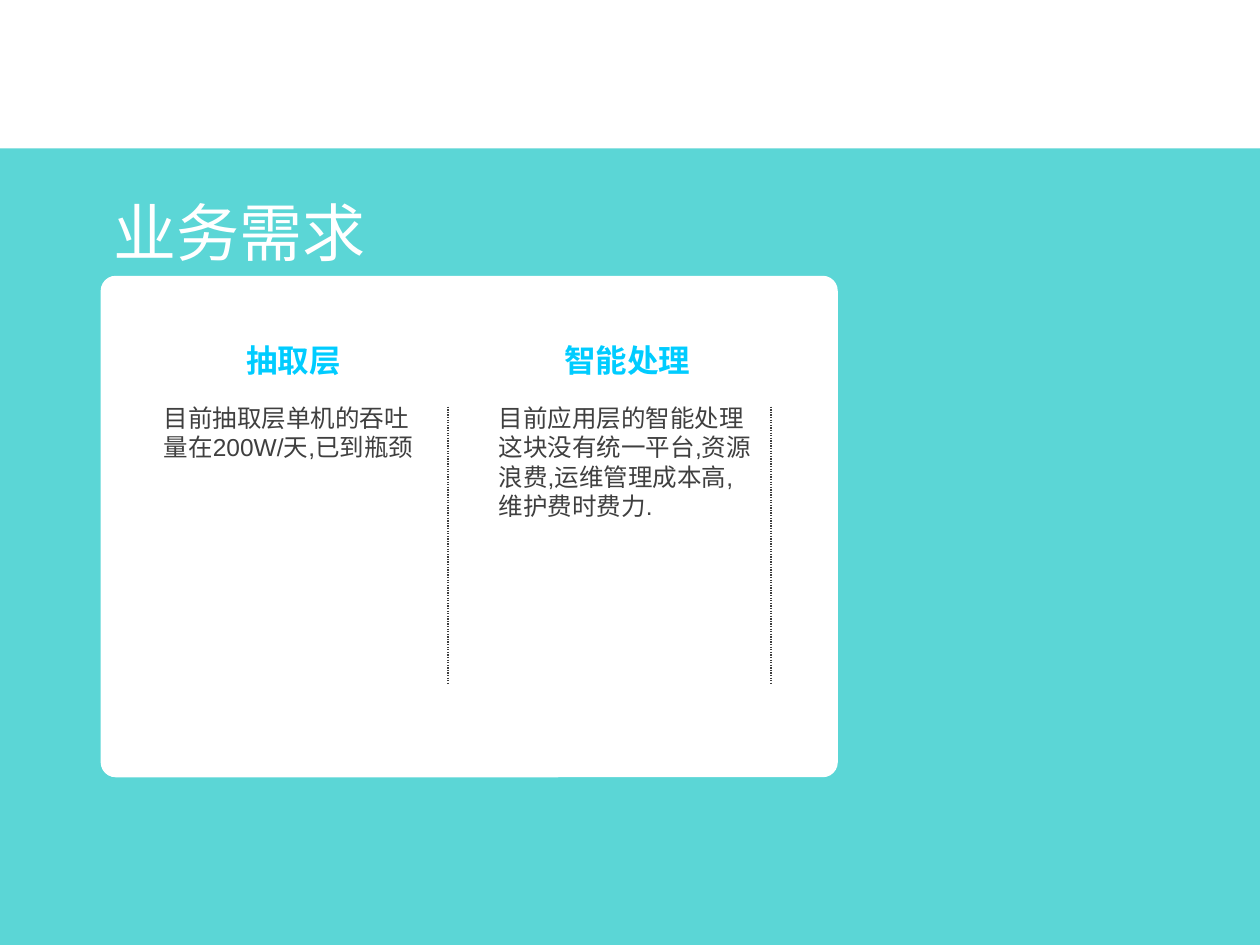
from pptx import Presentation
from pptx.dml.color import RGBColor
from pptx.enum.dml import MSO_LINE
from pptx.enum.shapes import MSO_CONNECTOR, MSO_SHAPE
from pptx.enum.text import MSO_ANCHOR, MSO_AUTO_SIZE, PP_ALIGN
from pptx.oxml.ns import qn
from pptx.util import Cm, Pt
from lxml.etree import SubElement

TEAL = RGBColor(0x33, 0xCC, 0xCC)
WHITE = RGBColor(0xFF, 0xFF, 0xFF)
CYAN = RGBColor(0x00, 0xCC, 0xFF)
GREY = RGBColor(0x3F, 0x3F, 0x3F)

TITLE = "业务需求"
# heading, heading left, heading width, body, body left, body height, divider x (cm)
COLUMNS = [
    ("抽取层", 4.72, 2.41, "目前抽取层单机的吞吐量在200W/天,已到瓶颈", 3.05, 2.03, 9.03),
    ("智能处理", 11.13, 3.05,
     "目前应用层的智能处理这块没有统一平台,资源浪费,运维管理成本高,维护费时费力.",
     9.8, 2.64, 15.54),
]
HEADING_TOP, HEADING_HEIGHT = 6.76, 1.02
BODY_TOP, BODY_WIDTH = 8, 5.72
DIVIDER_TOP, DIVIDER_BOTTOM = 8.2, 13.77


def add_panel(s, kind, box, color):
    sp = s.shapes.add_shape(kind, *map(Cm, box))
    sp.shadow.inherit = False
    sp.fill.solid()
    sp.fill.fore_color.rgb = color
    sp.line.fill.background()
    return sp


def write(sp, text, font, size, color, bold=False, wrap=False, align=PP_ALIGN.LEFT):
    tf = sp.text_frame
    tf.word_wrap = wrap
    tf.auto_size = MSO_AUTO_SIZE.SHAPE_TO_FIT_TEXT
    tf.vertical_anchor = MSO_ANCHOR.TOP
    p = tf.paragraphs[0]
    p.alignment = align
    r = p.add_run()
    r.text = text
    r.font.name, r.font.size, r.font.bold = font, Pt(size), bold
    r.font.color.rgb = color


def add_divider(s, x):
    line = s.shapes.add_connector(
        MSO_CONNECTOR.STRAIGHT, Cm(x), Cm(DIVIDER_TOP), Cm(x), Cm(DIVIDER_BOTTOM))
    line.line.color.rgb = GREY
    line.line.width = Pt(0.75)
    line.line.dash_style = MSO_LINE.ROUND_DOT
    SubElement(line.element.spPr, qn("a:effectLst"))


def main():
    prs = Presentation()
    prs.slide_width, prs.slide_height = Cm(25.4), Cm(19.05)
    s = prs.slides.add_slide(prs.slide_layouts[5])

    backdrop = add_panel(s, MSO_SHAPE.RECTANGLE, (0, 2.99, 25.4, 16.07), TEAL)
    color = backdrop.fill._xPr.find(qn("a:solidFill"))[0]
    SubElement(color, qn("a:alpha")).set("val", "80000")
    card = add_panel(s, MSO_SHAPE.ROUNDED_RECTANGLE, (2.03, 5.56, 14.86, 10.11), WHITE)
    card.adjustments[0] = 0.03

    title = s.shapes.title
    title.left, title.top, title.width, title.height = map(Cm, (2.03, 3.78, 5.59, 1.78))
    write(title, TITLE, "Arial Narrow", 36, WHITE, align=PP_ALIGN.CENTER)
    card.element.addnext(title.element)  # bring the title in front of the backdrop

    for heading, head_x, head_w, body, body_x, body_h, _ in COLUMNS:
        group = s.shapes.add_group_shape()
        sp = group.shapes.add_textbox(Cm(body_x), Cm(BODY_TOP), Cm(BODY_WIDTH), Cm(body_h))
        write(sp, body, "Arial", 14, GREY, wrap=True)
        sp = group.shapes.add_textbox(
            Cm(head_x), Cm(HEADING_TOP), Cm(head_w), Cm(HEADING_HEIGHT))
        write(sp, heading, "Roboto", 18, CYAN, bold=True)

    for *_, divider_x in COLUMNS:
        add_divider(s, divider_x)

    prs.save("out.pptx")


if __name__ == "__main__":
    main()
